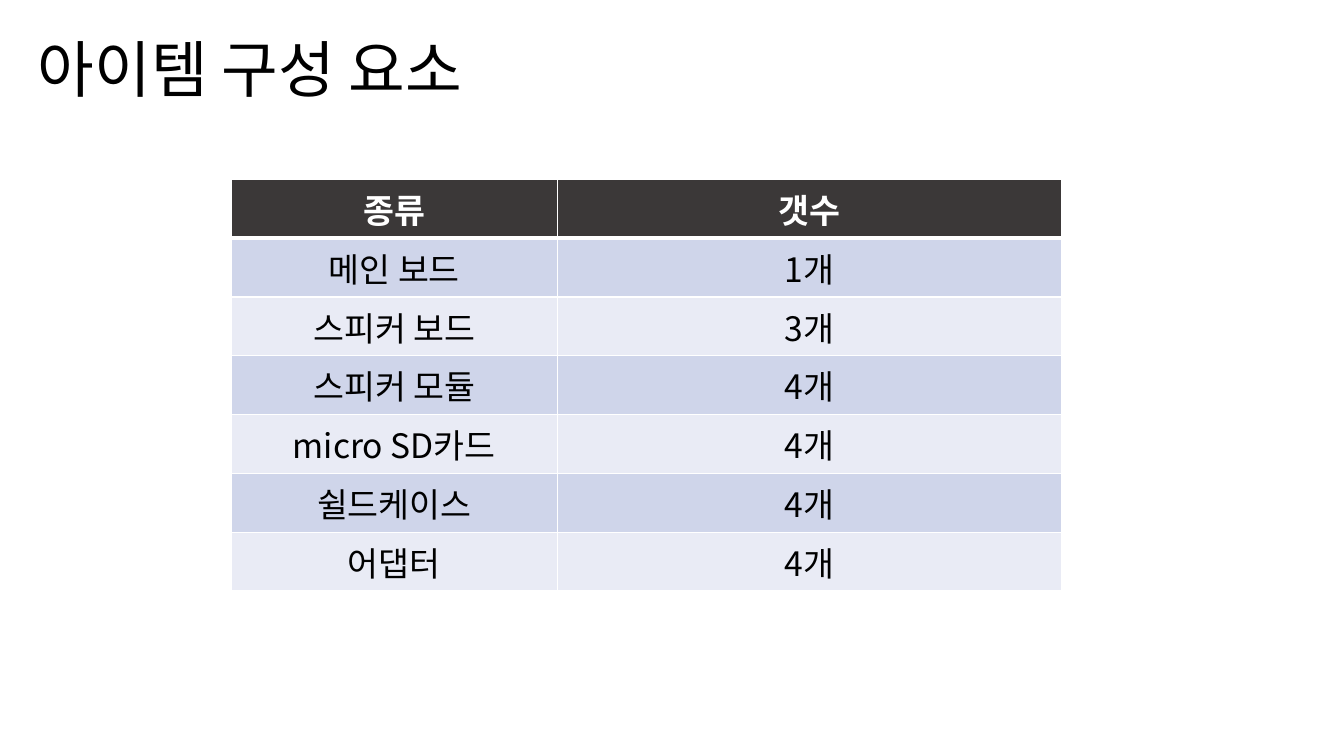
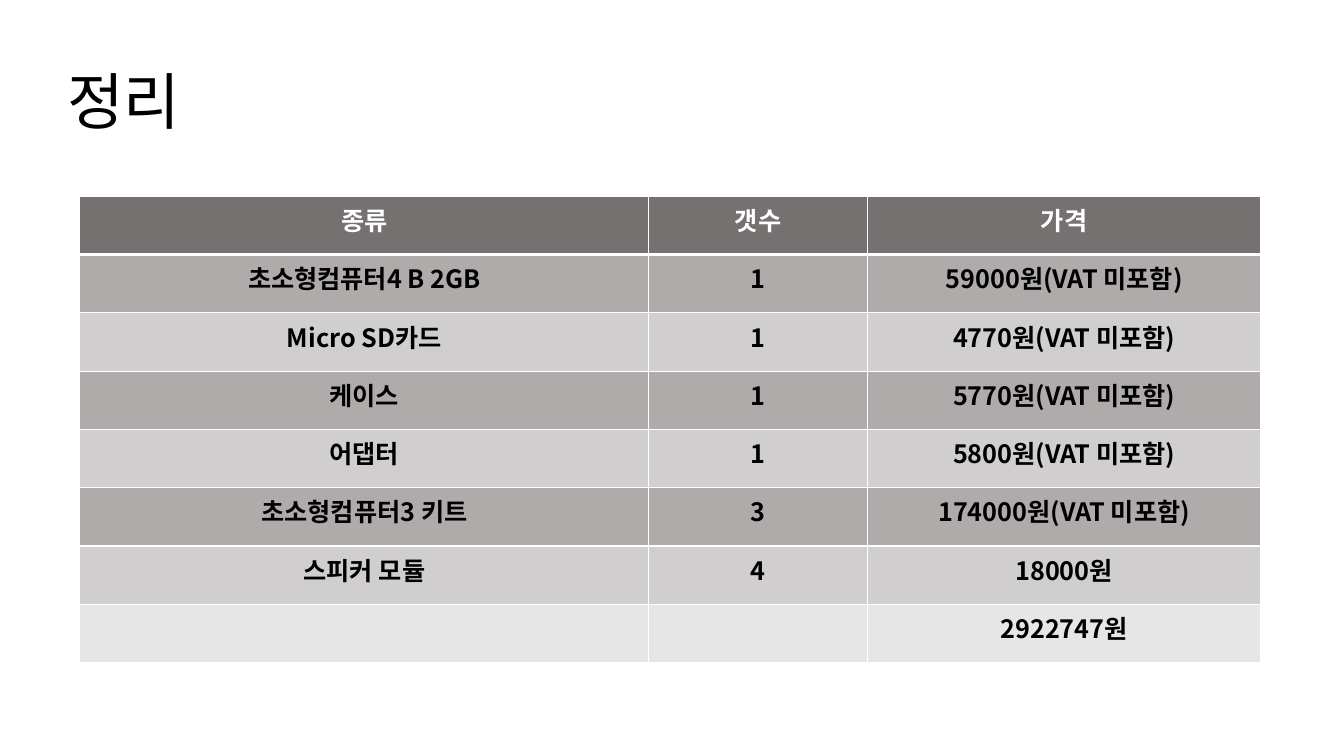
"""Builds two slides, each with a title and a banded table."""
from dataclasses import dataclass

from lxml import etree
from pptx import Presentation
from pptx.dml.color import RGBColor
from pptx.enum import text
from pptx.oxml import ns
from pptx.util import Pt

PX = 9525


@dataclass(frozen=True)
class Bands:
    header: str
    odd: str
    even: str
    total: str = ""

    def fill(self, index, count):
        if index == 0:
            return self.header
        if self.total and index == count - 1:
            return self.total
        return self.odd if index % 2 else self.even


@dataclass(frozen=True)
class Theme:
    font: str = "Noto Sans CJK KR"
    ink: str = "000000"
    paper: str = "FFFFFF"
    title_size: int = 44
    large_size: int = 24
    small_size: int = 18
    rule: int = 1
    header_rule: int = 3
    blue: Bands = Bands("3B3838", "CFD5EA", "E9EBF5")
    gray: Bands = Bands("767171", "AFABAB", "D0CECE", "E7E6E6")


class Deck:
    def __init__(self, theme):
        self.theme = theme
        self.file = Presentation()
        self.file.slide_width, self.file.slide_height = 1280 * PX, 720 * PX
        self.page = None

    def add_page(self):
        self.page = self.file.slides.add_slide(self.file.slide_layouts[6])

    def add_span(self, para, words, size, color, bold=False):
        span = para.add_run()
        span.text = words
        span.font.size = Pt(size)
        span.font.bold = bold
        span.font.color.rgb = RGBColor.from_string(color)
        span.font.name = self.theme.font
        east_asian = etree.SubElement(span.font._element, ns.qn("a:ea"))
        east_asian.set("typeface", self.theme.font)

    def add_title(self, words, left, top):
        box = self.page.shapes.add_textbox(left * PX, top * PX, 1104 * PX, 139 * PX)
        frame = box.text_frame
        frame.word_wrap = True
        frame.vertical_anchor = text.MSO_ANCHOR.MIDDLE
        frame.margin_left = frame.margin_right = 0
        frame.margin_top = frame.margin_bottom = 0
        para = frame.paragraphs[0]
        para.line_spacing = 0.9
        self.add_span(para, words, self.theme.title_size, self.theme.ink)

    def add_borders(self, cell, top, bottom):
        properties = cell._tc.get_or_add_tcPr()
        widths = {"L": self.theme.rule, "R": self.theme.rule, "T": top, "B": bottom}
        for position, (side, width) in enumerate(widths.items()):
            line = etree.Element(ns.qn(f"a:ln{side}"), w=str(Pt(width)))
            fill = etree.SubElement(line, ns.qn("a:solidFill"))
            etree.SubElement(fill, ns.qn("a:srgbClr"), val=self.theme.paper)
            properties.insert(position, line)

    def add_table(self, rows, left, top, widths, height, size, bands, bold=False):
        theme = self.theme
        count = len(rows)
        table = self.page.shapes.add_table(
            count, len(widths), left * PX, top * PX, sum(widths) * PX, height * PX
        ).table
        for column, width in zip(table.columns, widths):
            column.width = width * PX
        for index, values in enumerate(rows):
            header = index == 0
            above = theme.header_rule if index == 1 else theme.rule
            below = theme.header_rule if header else theme.rule
            color = theme.paper if header else theme.ink
            for cell, words in zip(table.rows[index].cells, values):
                cell.fill.solid()
                cell.fill.fore_color.rgb = RGBColor.from_string(bands.fill(index, count))
                self.add_borders(cell, above, below)
                para = cell.text_frame.paragraphs[0]
                para.alignment = text.PP_ALIGN.CENTER
                if words:
                    self.add_span(para, words, size, color, header or bold)


def main():
    theme = Theme()
    deck = Deck(theme)

    deck.add_page()
    deck.add_title("아이템 구성 요소", 36, 0)
    parts = [
        ("종류", "갯수"),
        ("메인 보드", "1개"),
        ("스피커 보드", "3개"),
        ("스피커 모듈", "4개"),
        ("micro SD카드", "4개"),
        ("쉴드케이스", "4개"),
        ("어댑터", "4개"),
    ]
    deck.add_table(parts, 220, 171, (311, 480), 392, theme.large_size, theme.blue)

    deck.add_page()
    deck.add_title("정리", 64, 30)
    costs = [
        ("종류", "갯수", "가격"),
        ("초소형컴퓨터4 B 2GB", "1", "59000원(VAT 미포함)"),
        ("Micro SD카드", "1", "4770원(VAT 미포함)"),
        ("케이스", "1", "5770원(VAT 미포함)"),
        ("어댑터", "1", "5800원(VAT 미포함)"),
        ("초소형컴퓨터3 키트", "3", "174000원(VAT 미포함)"),
        ("스피커 모듈", "4", "18000원"),
        ("", "", "2922747원"),
    ]
    deck.add_table(
        costs, 76, 187, (542, 208, 375), 444, theme.small_size, theme.gray, bold=True
    )

    deck.file.save("out.pptx")


if __name__ == "__main__":
    main()
